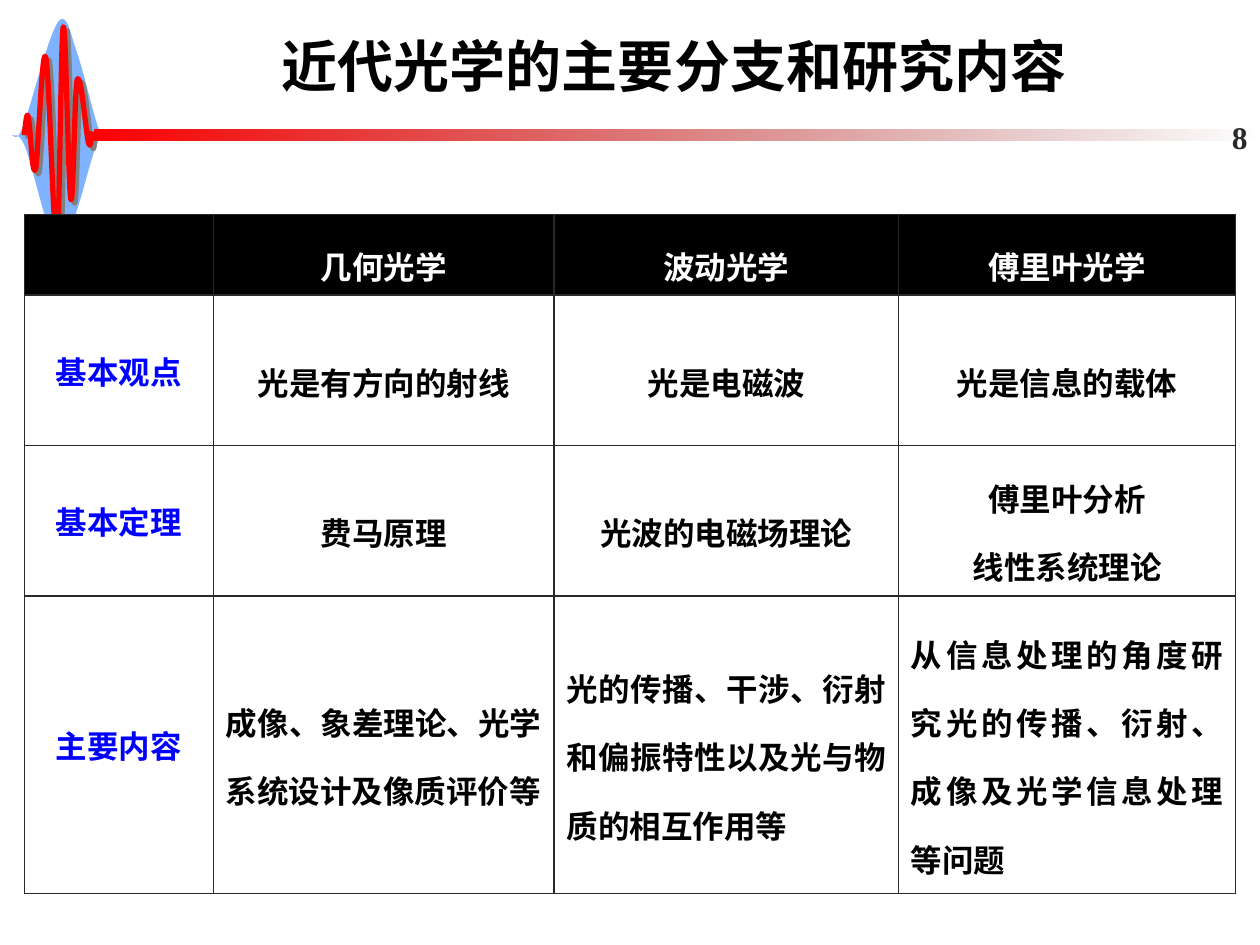
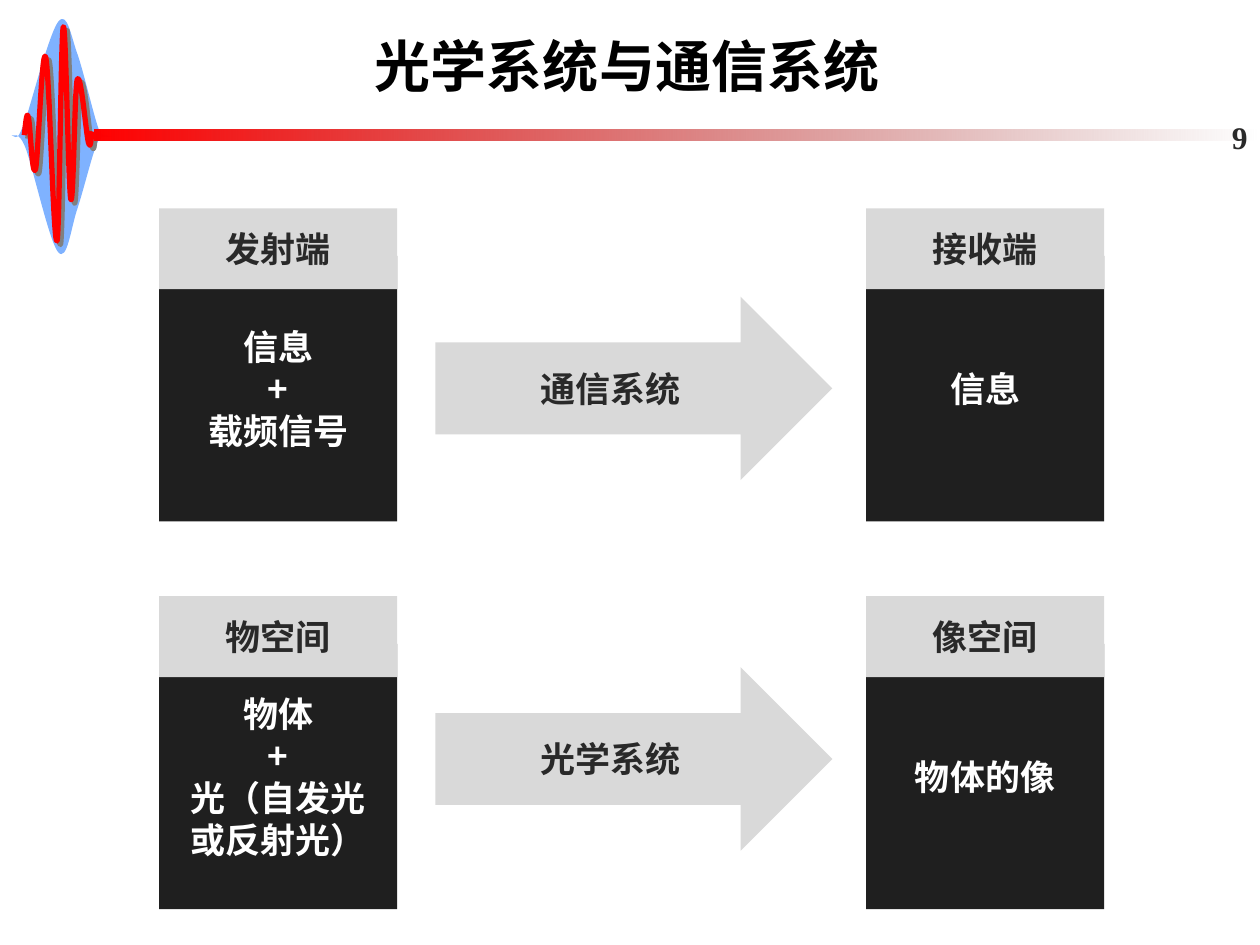
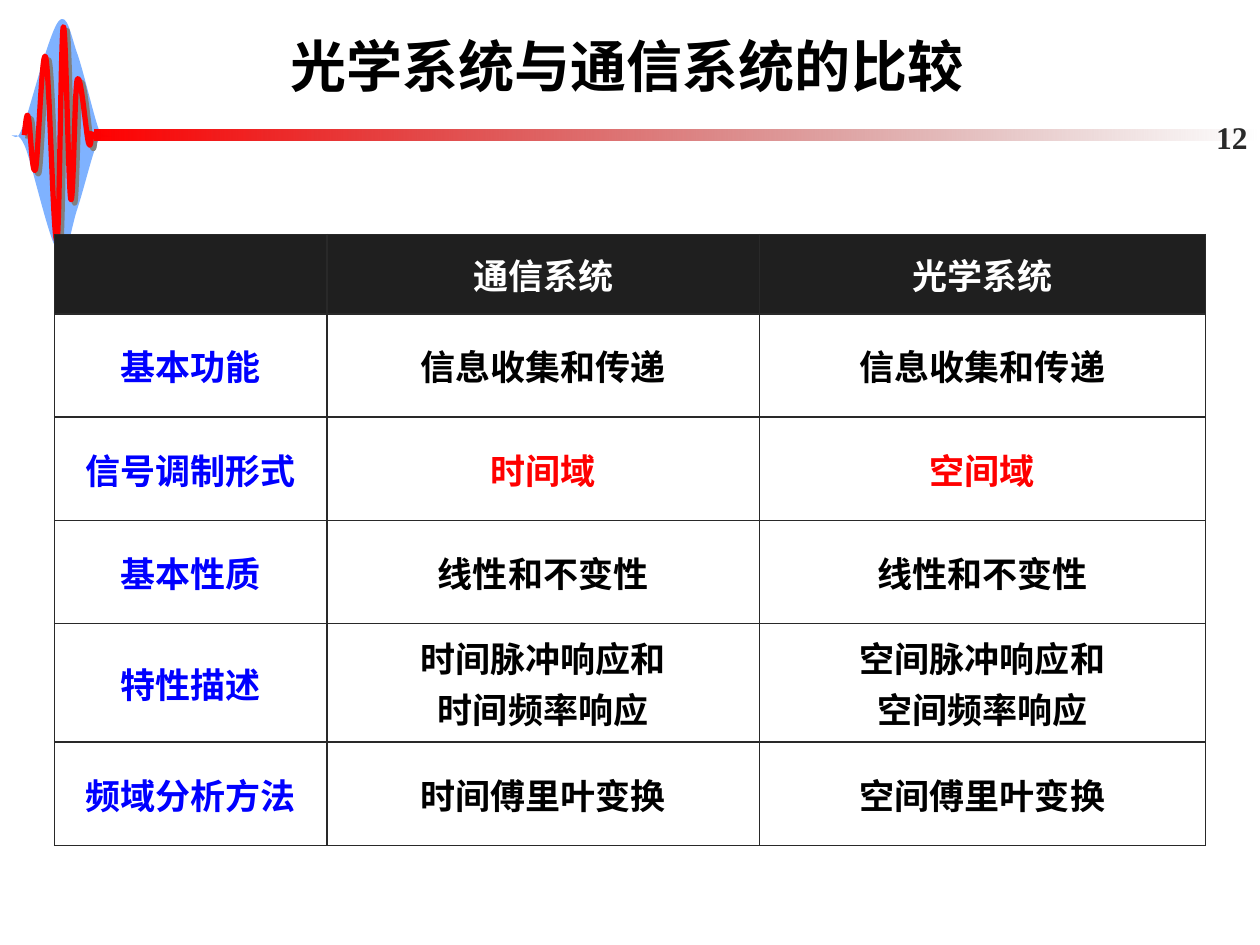
from lxml import etree
from pptx import Presentation, util as u
from pptx.dml.color import RGBColor
from pptx.enum import shapes, text
from pptx.oxml import ns

CJK_FONT = "Noto Sans CJK SC"
LATIN_FONT = "Times New Roman"
BLACK, WHITE, RED, BLUE = "000000", "FFFFFF", "FF0000", "0000FF"
INK, DARK, LIGHT = "292929", "1F1F1F", "D9D9D9"
CENTER, RIGHT, JUSTIFY = (
    text.PP_ALIGN.CENTER, text.PP_ALIGN.RIGHT, text.PP_ALIGN.JUSTIFY)

# Emblem outlines: a box size, a start point, then cubic curves,
# all in hundredths of an inch.
EMBLEM_UNIT = u.Cm(2.54) / 100
ENVELOPE_SIZE = (80, 200)
ENVELOPE_START = (1, 99)
ENVELOPE_CURVES = [
    ((0, 98), (4, 102), (6, 100)), ((7, 98), (6, 102), (12, 87)),
    ((17, 72), (31, 18), (38, 9)), ((45, 0), (48, 20), (53, 34)),
    ((58, 48), (66, 83), (70, 94)), ((75, 105), (80, 98), (80, 100)),
    ((80, 102), (74, 95), (69, 105)), ((65, 114), (58, 143), (53, 158)),
    ((48, 173), (45, 200), (38, 192)), ((31, 184), (18, 125), (12, 109)),
    ((6, 94), (2, 101), (1, 99)),
]
WAVE_SIZE = (53, 180)
WAVE_START = (0, 92)
WAVE_CURVES = [
    ((1, 83), (2, 73), (3, 77)), ((5, 82), (6, 127), (9, 119)),
    ((11, 111), (14, 20), (17, 30)), ((20, 39), (23, 180), (26, 176)),
    ((28, 172), (29, 11), (31, 6)), ((33, 0), (35, 136), (37, 143)),
    ((39, 150), (40, 55), (42, 48)), ((45, 40), (49, 91), (51, 98)),
    ((53, 105), (53, 91), (54, 89)),
]


def color(value):
    return RGBColor.from_string(value)


def add_child(parent, tag, **attributes):
    return etree.SubElement(parent, ns.qn(tag), attributes)


def set_alpha(color_element, percent):
    add_child(color_element, "a:alpha", val=str(percent * 1000))


def write(frame, content, size=20, ink=BLACK, font=CJK_FONT, align=CENTER,
          spacing=None):
    """Fill a text frame with bold text, one paragraph for each line."""
    frame.word_wrap = True
    frame.vertical_anchor = text.MSO_ANCHOR.MIDDLE
    for index, line in enumerate(content.split("\n")):
        paragraph = frame.add_paragraph() if index else frame.paragraphs[0]
        paragraph.alignment = align
        if spacing:
            paragraph.line_spacing = spacing
        run = paragraph.add_run()
        run.text = line
        run.font.size = u.Pt(size)
        run.font.bold = True
        run.font.name = font
        run.font.color.rgb = color(ink)
        add_child(run.font._element, "a:ea", typeface=CJK_FONT)


def add_text(slide, left, top, width, height, content, **formats):
    box = slide.shapes.add_textbox(
        u.Cm(left), u.Cm(top), u.Cm(width), u.Cm(height))
    write(box.text_frame, content, **formats)


def add_block(slide, kind, left, top, width, height, fill):
    shape = slide.shapes.add_shape(
        kind, u.Cm(left), u.Cm(top), u.Cm(width), u.Cm(height))
    shape.shadow.inherit = False
    shape.line.fill.background()
    shape.fill.solid()
    shape.fill.fore_color.rgb = color(fill)
    return shape


def add_curve(slide, left, top, size, start, curves, close):
    """Add a freeform whose segments are cubic Bezier curves."""
    builder = slide.shapes.build_freeform(*start, scale=EMBLEM_UNIT)
    builder.add_line_segments([curve[-1] for curve in curves], close=close)
    shape = builder.convert_to_shape()
    shape.left, shape.top = u.Cm(left), u.Cm(top)
    shape.width, shape.height = (round(side * EMBLEM_UNIT) for side in size)
    shape.shadow.inherit = False

    outline = next(shape._element.iter(ns.qn("a:path")))
    outline.set("w", str(size[0]))
    outline.set("h", str(size[1]))
    first = next(outline.iter(ns.qn("a:pt")))
    first.set("x", str(start[0]))
    first.set("y", str(start[1]))
    for segment, curve in zip(outline.findall(ns.qn("a:lnTo")), curves):
        bezier = etree.Element(ns.qn("a:cubicBezTo"))
        for x, y in curve:
            add_child(bezier, "a:pt", x=str(x), y=str(y))
        outline.replace(segment, bezier)
    return shape


def add_emblem(slide, left, top):
    """Draw the red pulse in its pale blue envelope."""
    envelope = add_curve(slide, left, top, ENVELOPE_SIZE, ENVELOPE_START,
                         ENVELOPE_CURVES, True)
    envelope.line.fill.background()
    envelope.fill.solid()
    envelope.fill.fore_color.rgb = color("0066FF")
    set_alpha(next(envelope._element.spPr.iter(ns.qn("a:srgbClr"))), 50)

    wave = add_curve(slide, left + 0.28, top + 0.18, WAVE_SIZE, WAVE_START,
                     WAVE_CURVES, False)
    wave.fill.background()
    wave.line.color.rgb = color(RED)
    wave.line.width = u.Pt(3)
    effects = wave._element.spPr.find(ns.qn("a:effectLst"))
    shadow = add_child(effects, "a:outerShdw", dist=str(u.Pt(2.8)),
                       dir="2700000", algn="ctr", rotWithShape="0")
    add_child(shadow, "a:srgbClr", val="808080")


def add_fading_rule(slide, left, top, width, height):
    rule = add_block(slide, shapes.MSO_SHAPE.RECTANGLE,
                     left, top, width, height, RED)
    rule.fill.gradient()
    rule.fill.gradient_angle = 0
    for stop, value in zip(rule.fill.gradient_stops, (RED, "760000")):
        stop.color.rgb = color(value)
    set_alpha(list(rule._element.spPr.iter(ns.qn("a:srgbClr")))[-1], 0)


def add_framed_slide(presentation, title, number, title_width=19.89):
    """Add a slide with the emblem, rule, title and slide number."""
    slide = presentation.slides.add_slide(presentation.slide_layouts[6])
    add_emblem(slide, 0.21, 0.21)
    add_fading_rule(slide, 1.9, 2.62, 23.5, 0.22)
    add_text(slide, 2.7, 0.32, title_width, 2, title, size=32)
    add_text(slide, 23.19, 2.46, 2.21, 0.61, number,
             size=18, ink=INK, font=LATIN_FONT, align=RIGHT)
    return slide


def set_borders(cell):
    properties = cell._tc.get_or_add_tcPr()
    for index, side in enumerate("LRTB"):
        line = etree.Element(ns.qn(f"a:ln{side}"), w=str(u.Pt(1)))
        fill = add_child(line, "a:solidFill")
        add_child(fill, "a:srgbClr", val=INK)
        properties.insert(index, line)


def add_comparison(slide, left, top, widths, heights, rows, header_fill,
                   size, spacing=None, row_formats=None):
    """Add a table with a dark header row and blue row names."""
    table = slide.shapes.add_table(
        len(heights), len(widths), u.Cm(left), u.Cm(top),
        u.Cm(sum(widths)), u.Cm(sum(heights))).table
    table.first_row = table.horz_banding = False
    for column, width in zip(table.columns, widths):
        column.width = u.Cm(width)
    for row, height in zip(table.rows, heights):
        row.height = u.Cm(height)
    for row_index, row in enumerate(rows):
        for column_index, content in enumerate(row):
            cell = table.cell(row_index, column_index)
            formats = {"size": size, "font": LATIN_FONT}
            if column_index:
                formats["spacing"] = spacing
                formats.update((row_formats or {}).get(row_index, {}))
            else:
                formats["ink"] = BLUE
            if row_index == 0:
                formats["ink"] = WHITE
                cell.fill.solid()
                cell.fill.fore_color.rgb = color(header_fill)
            else:
                cell.fill.background()
            set_borders(cell)
            cell.vertical_anchor = text.MSO_ANCHOR.MIDDLE
            if content:
                write(cell.text_frame, content, **formats)


def add_card(slide, left, top, heading, content):
    rectangle = shapes.MSO_SHAPE.RECTANGLE
    body = add_block(slide, rectangle, left, top + 0.96, 4.8, 5.35, DARK)
    write(body.text_frame, content, ink=WHITE)
    header = add_block(slide, rectangle, left, top, 4.8, 1.63, LIGHT)
    write(header.text_frame, heading, ink=INK)


def add_flow(slide, left, top, source, system, target, arrow_drop):
    """Draw a source card, an arrow naming the system, and a target card."""
    add_card(slide, left, top, *source)
    arrow = add_block(slide, shapes.MSO_SHAPE.RIGHT_ARROW,
                      left + 5.57, top + arrow_drop, 8, 3.7, LIGHT)
    write(arrow.text_frame, system, ink=INK)
    add_card(slide, left + 14.25, top, *target)


def build_branches(presentation):
    slide = add_framed_slide(
        presentation, "近代光学的主要分支和研究内容", "8", title_width=21.79)
    rows = [
        ["", "几何光学", "波动光学", "傅里叶光学"],
        ["基本观点", "光是有方向的射线", "光是电磁波", "光是信息的载体"],
        ["基本定理", "费马原理", "光波的电磁场理论",
         "傅里叶分析\n线性系统理论"],
        ["主要内容", "成像、象差理论、光学系统设计及像质评价等",
         "光的传播、干涉、衍射和偏振特性以及光与物质的相互作用等",
         "从信息处理的角度研究光的传播、衍射、成像及光学信息处理等问题"],
    ]
    add_comparison(slide, 0.49, 4.32, [3.81, 6.87, 6.94, 6.8],
                   [1.63, 3.03, 3.03, 6], rows, BLACK, 18, spacing=1.5,
                   row_formats={3: {"align": JUSTIFY}})


def build_systems(presentation):
    slide = add_framed_slide(presentation, "光学系统与通信系统", "9")
    add_flow(slide, 3.21, 4.2, ("发射端", "信息\n+\n载频信号"),
             "通信系统", ("接收端", "信息"), arrow_drop=1.78)
    add_flow(slide, 3.21, 12.02, ("物空间", "物体\n+\n光（自发光\n或反射光）"),
             "光学系统", ("像空间", "物体的像"), arrow_drop=1.43)


def build_system_comparison(presentation):
    slide = add_framed_slide(presentation, "光学系统与通信系统的比较", "12")
    rows = [
        ["", "通信系统", "光学系统"],
        ["基本功能", "信息收集和传递", "信息收集和传递"],
        ["信号调制形式", "时间域", "空间域"],
        ["基本性质", "线性和不变性", "线性和不变性"],
        ["特性描述", "时间脉冲响应和\n时间频率响应",
         "空间脉冲响应和\n空间频率响应"],
        ["频域分析方法", "时间傅里叶变换", "空间傅里叶变换"],
    ]
    add_comparison(slide, 1.1, 4.73, [5.49, 8.72, 8.99],
                   [1.6, 2.08, 2.08, 2.08, 2.39, 2.08], rows, DARK, 20,
                   row_formats={2: {"ink": RED}})


def main():
    presentation = Presentation()
    presentation.slide_width = u.Cm(25.4)
    presentation.slide_height = u.Cm(19.05)
    build_branches(presentation)
    build_systems(presentation)
    build_system_comparison(presentation)
    presentation.save("out.pptx")


if __name__ == "__main__":
    main()
